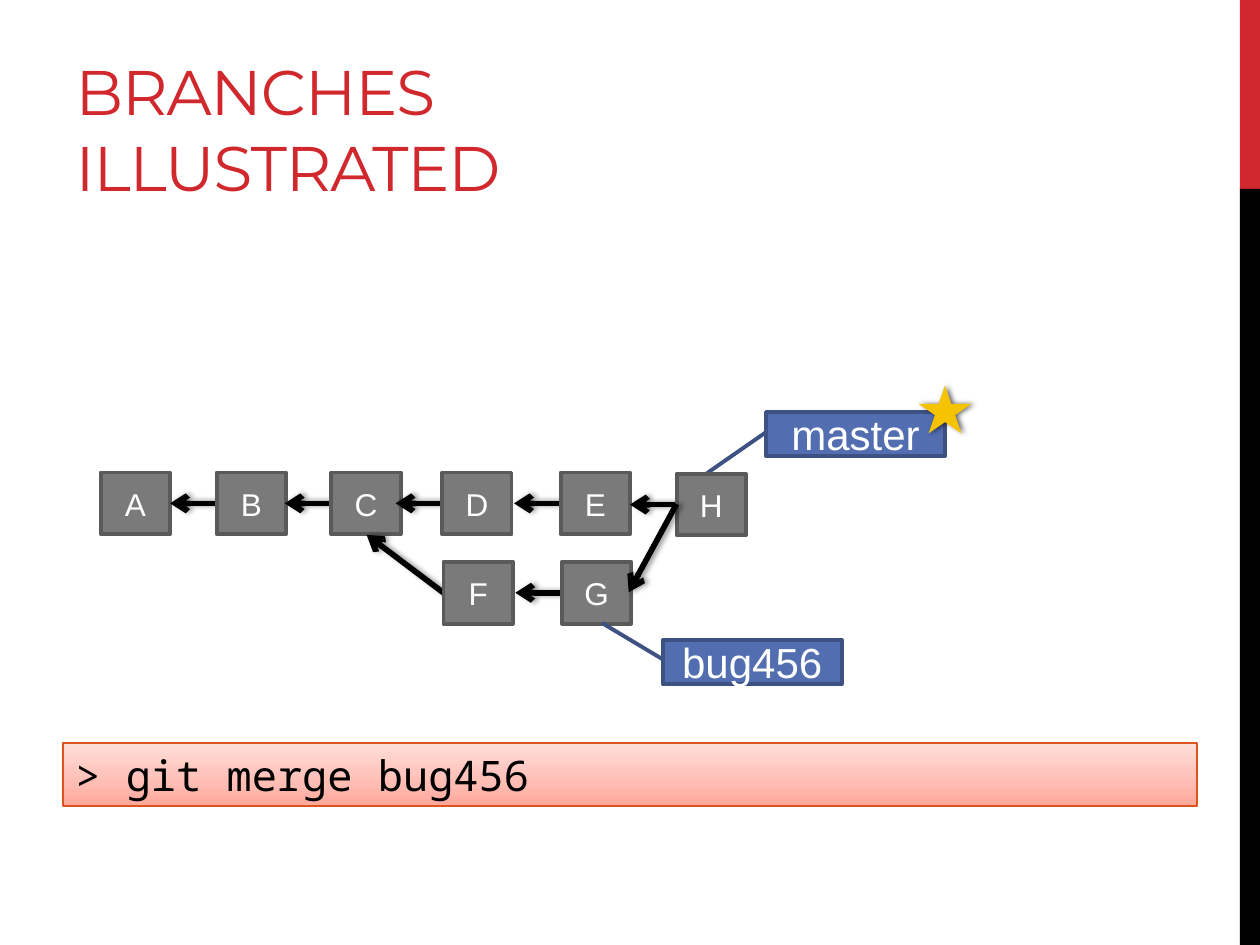
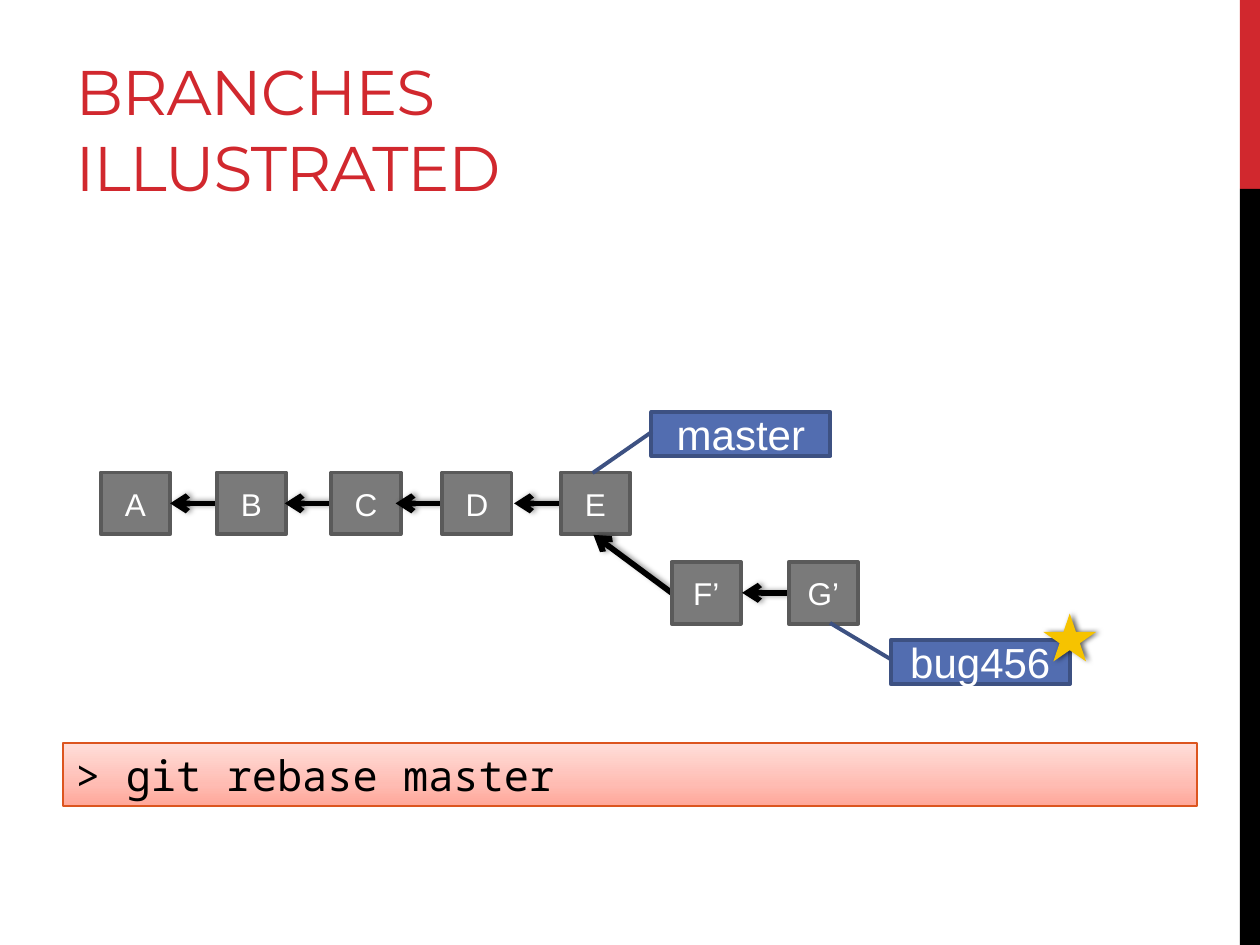
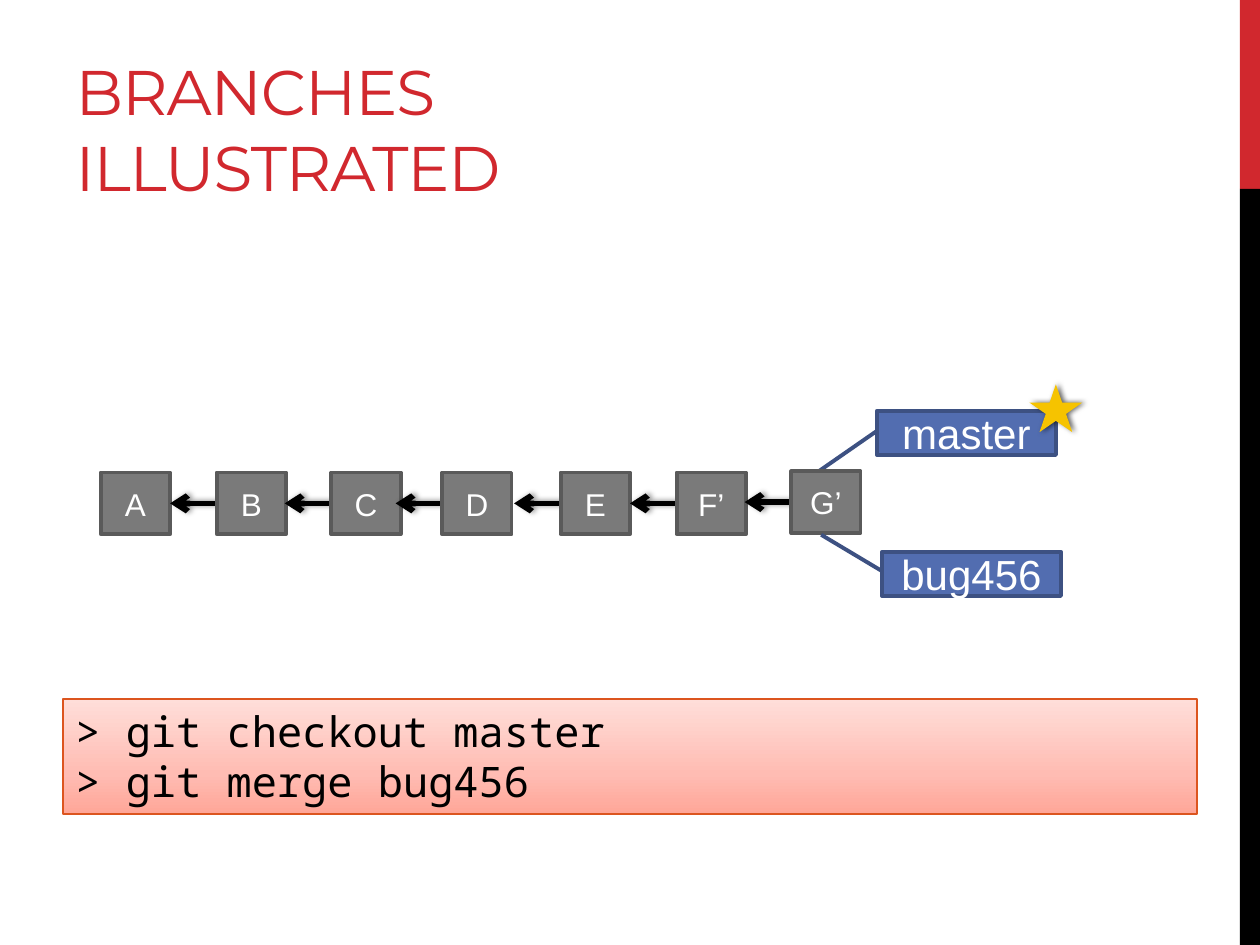
from copy import deepcopy

from lxml.etree import SubElement
from pptx import Presentation
from pptx.dml.color import RGBColor
from pptx.enum.shapes import MSO_CONNECTOR as CONN, MSO_SHAPE as SHAPE
from pptx.enum.text import MSO_ANCHOR as ANCHOR, MSO_AUTO_SIZE as AUTO, PP_ALIGN as ALIGN
from pptx.oxml.ns import qn
from pptx.util import Inches, Pt

COLORS = {
    "red": "D1282E", "black": "000000", "white": "FFFFFF",
    "commit": "7A7A7A", "commit_line": "5A5A5A",
    "branch": "526DB0", "branch_line": "3D5182",
    "star": "F6C300", "command_line": "DC551F",
}
COMMAND_STOPS = [(0, "FFA698"), (0.35, "FFBCB3"), (1, "FFDED9")]
FONTS = {
    "title": {"name": "Montserrat", "size": Pt(36)},
    "commit": {"name": "Arial", "size": Pt(18)},
    "branch": {"name": "Arial", "size": Pt(24)},
    "command": {"name": "Noto Sans Mono", "size": Pt(24)},
}
COMMIT_W, COMMIT_H = 0.55, 0.49
BACK = (-0.37, 0)
UP, DOWN = (1.383, -0.329), (-0.389, -0.34)
MAIN_Y, SIDE_Y = 3.75, 4.46
MAIN_LINE = {"A": 0.8, "B": 1.72, "C": 2.63, "D": 3.51, "E": 4.45}


def rgb(name):
    """Return the named colour."""
    return RGBColor.from_string(COLORS[name])


def set_text(tf, lines, style, color, align, **frame):
    """Fill a text frame with evenly formatted paragraphs."""
    for key, value in frame.items():
        setattr(tf, key, value)
    tf.text = "\n".join(lines)
    for p in tf.paragraphs:
        p.alignment = align
        for r in p.runs:
            for key, value in FONTS[style].items():
                setattr(r.font, key, value)
            r.font.color.rgb = rgb(color)


def add_box(s, kind, x, y, w, h, fill=None, line=None, weight=2.25):
    """Add a preset shape with an optional fill and outline."""
    sp = s.shapes.add_shape(kind, Inches(x), Inches(y), Inches(w), Inches(h))
    if fill:
        sp.fill.solid()
        sp.fill.fore_color.rgb = rgb(fill)
    if line:
        sp.line.color.rgb = rgb(line)
        sp.line.width = Pt(weight)
    else:
        sp.line.fill.background()
    sp.shadow.inherit = False
    return sp


def add_shadow(sp, alpha, blur, dist):
    """Give a shape a soft black shadow to its right."""
    spPr = sp._element.spPr
    effects = spPr.find(qn("a:effectLst"))
    if effects is None:
        effects = SubElement(spPr, qn("a:effectLst"))
    shadow = SubElement(effects, qn("a:outerShdw"), blurRad=str(Pt(blur)),
                        dist=str(Pt(dist)), dir="0", rotWithShape="0")
    color = SubElement(shadow, qn("a:srgbClr"), val=COLORS["black"])
    SubElement(color, qn("a:alpha"), val=str(alpha * 1000))


def add_arrow(s, x, y, dx, dy):
    """Draw an arrow from a commit towards its parent."""
    line = s.shapes.add_connector(CONN.STRAIGHT, Inches(x), Inches(y),
                                  Inches(x + dx), Inches(y + dy))
    line.line.color.rgb = rgb("black")
    line.line.width = Pt(3.25)
    SubElement(line.line._get_or_add_ln(), qn("a:tailEnd"), type="arrow")
    add_shadow(line, 40, 3.1, 1.8)


def add_commit(s, label, x, y, parent=BACK):
    """Draw a commit box and the arrow to its parent."""
    if parent:
        add_arrow(s, x, y + COMMIT_H / 2, *parent)
    sp = add_box(s, SHAPE.RECTANGLE, x, y, COMMIT_W, COMMIT_H, "commit", "commit_line")
    set_text(sp.text_frame, [label], "commit", "white", ALIGN.CENTER,
             vertical_anchor=ANCHOR.MIDDLE)


def add_branch(s, name, x, y, pointer, current=False):
    """Draw a branch label, with a star when it is checked out."""
    sp = add_box(s, SHAPE.LINE_CALLOUT_1, x, y, 1.42, 0.35, "branch", "branch_line")
    for i, value in enumerate((0.446, 0.004, *pointer)):
        sp.adjustments[i] = value
    set_text(sp.text_frame, [name], "branch", "white", ALIGN.CENTER,
             vertical_anchor=ANCHOR.MIDDLE)
    if current:
        star = add_box(s, SHAPE.STAR_5_POINT, x + 1.21, y - 0.21, 0.42, 0.38, "star")
        add_shadow(star, 60, 3, 1.5)


def add_commands(s, lines, y, h):
    """Add the bar that shows the commands."""
    sp = add_box(s, SHAPE.RECTANGLE, 0.5, y, 9, h, line="command_line", weight=1)
    sp.fill.gradient()
    sp.fill.gradient_angle = 90
    stops = sp._element.spPr.find(qn("a:gradFill")).find(qn("a:gsLst"))
    stops.append(deepcopy(stops[0]))
    for stop, (position, color) in zip(sp.fill.gradient_stops, COMMAND_STOPS):
        stop.position = position
        stop.color.rgb = RGBColor.from_string(color)
    set_text(sp.text_frame, lines, "command", "black", ALIGN.LEFT, word_wrap=True,
             vertical_anchor=ANCHOR.TOP, auto_size=AUTO.SHAPE_TO_FIT_TEXT)


def add_slide(prs):
    """Start a slide with side bands, title and the main line of commits."""
    s = prs.slides.add_slide(prs.slide_layouts[5])
    add_box(s, SHAPE.RECTANGLE, 9.84, 0, 0.16, 1.5, "red")
    add_box(s, SHAPE.RECTANGLE, 9.84, 1.5, 0.16, 6, "black")
    title = s.shapes.title
    place = {"left": 0.5, "top": 0.17, "width": 6.33, "height": 1.5}
    for key, value in place.items():
        setattr(title, key, Inches(value))
    set_text(title.text_frame, ["BRANCHES ILLUSTRATED"], "title", "red", ALIGN.LEFT,
             vertical_anchor=ANCHOR.BOTTOM, word_wrap=True, auto_size=AUTO.NONE)
    title.text_frame.paragraphs[0].runs[0].font._element.set("spc", "-60")
    for label, x in MAIN_LINE.items():
        add_commit(s, label, x, MAIN_Y, None if label == "A" else BACK)
    return s


def add_merge_slide(prs):
    """Show the merge of the bug branch into master."""
    s = add_slide(prs)
    add_branch(s, "master", 6.08, 3.27, UP, current=True)
    add_commit(s, "F", 3.52, SIDE_Y, (-0.61, -0.46))
    add_commit(s, "G", 4.46, SIDE_Y)
    add_commit(s, "H", 5.37, 3.76)
    add_arrow(s, 5.37, 4, -0.38, 0.7)
    add_branch(s, "bug456", 5.26, 5.08, DOWN)
    add_commands(s, ["> git merge bug456"], 5.9, 0.5)


def add_rebase_slide(prs):
    """Show the bug branch rebased on master."""
    s = add_slide(prs)
    add_branch(s, "master", 5.17, 3.27, UP)
    add_commit(s, "F’", 5.33, SIDE_Y, (-0.62, -0.46))
    add_commit(s, "G’", 6.26, SIDE_Y)
    add_branch(s, "bug456", 7.07, 5.08, DOWN, current=True)
    add_commands(s, ["> git rebase master"], 5.9, 0.5)


def add_fast_forward_slide(prs):
    """Show master moved forward to the rebased commits."""
    s = add_slide(prs)
    add_branch(s, "master", 6.96, 3.26, UP, current=True)
    add_commit(s, "F’", 5.37, MAIN_Y)
    add_commit(s, "G’", 6.28, 3.74)
    add_branch(s, "bug456", 7, 4.38, DOWN)
    add_commands(s, ["> git checkout master", "> git merge bug456"], 5.55, 0.91)


def main():
    """Build the three slides and save them."""
    prs = Presentation()
    prs.slide_width, prs.slide_height = Inches(10), Inches(7.5)
    add_merge_slide(prs)
    add_rebase_slide(prs)
    add_fast_forward_slide(prs)
    prs.save("out.pptx")


if __name__ == "__main__":
    main()
